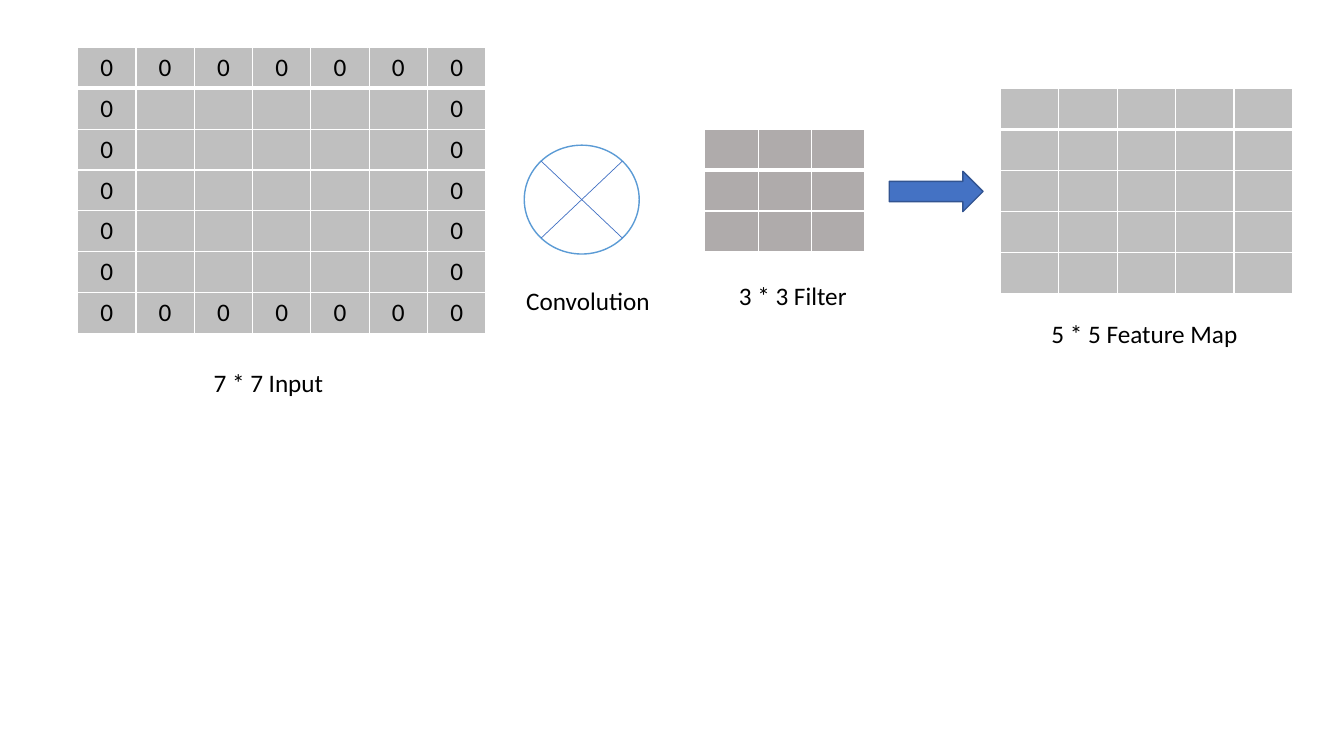
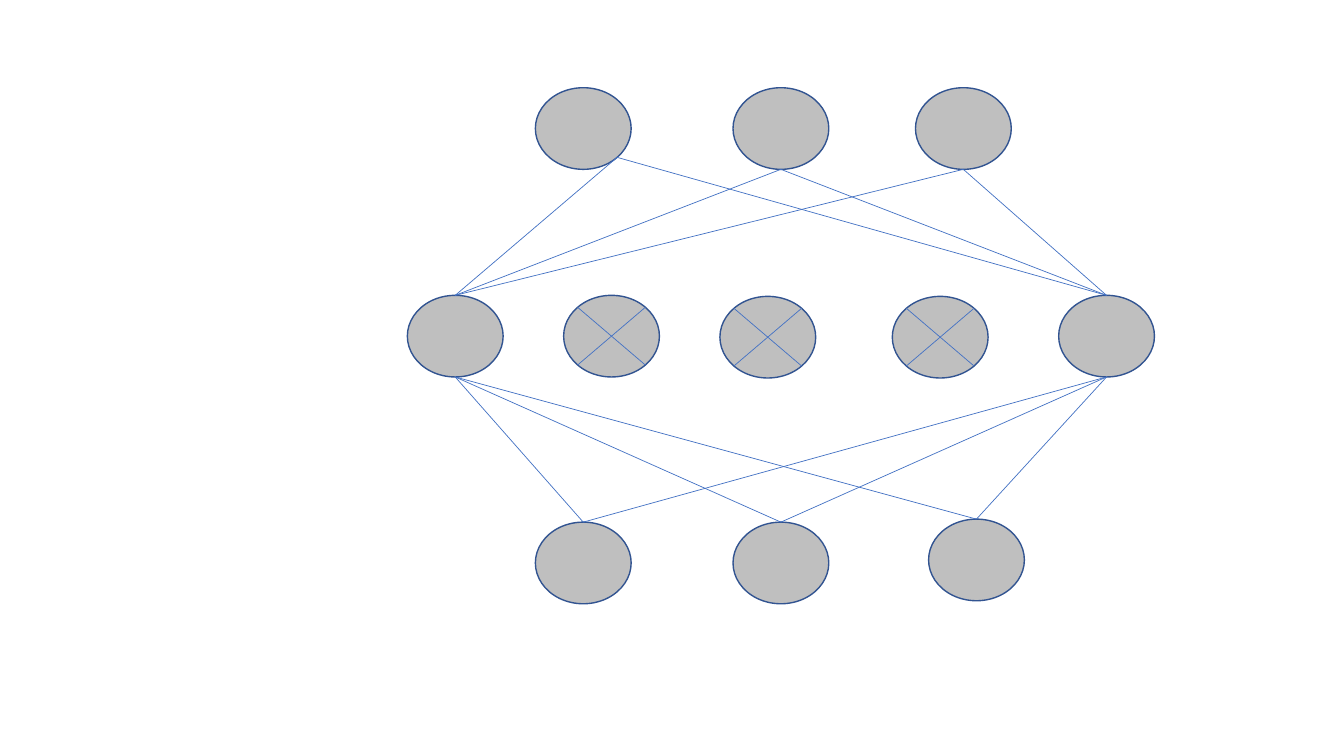
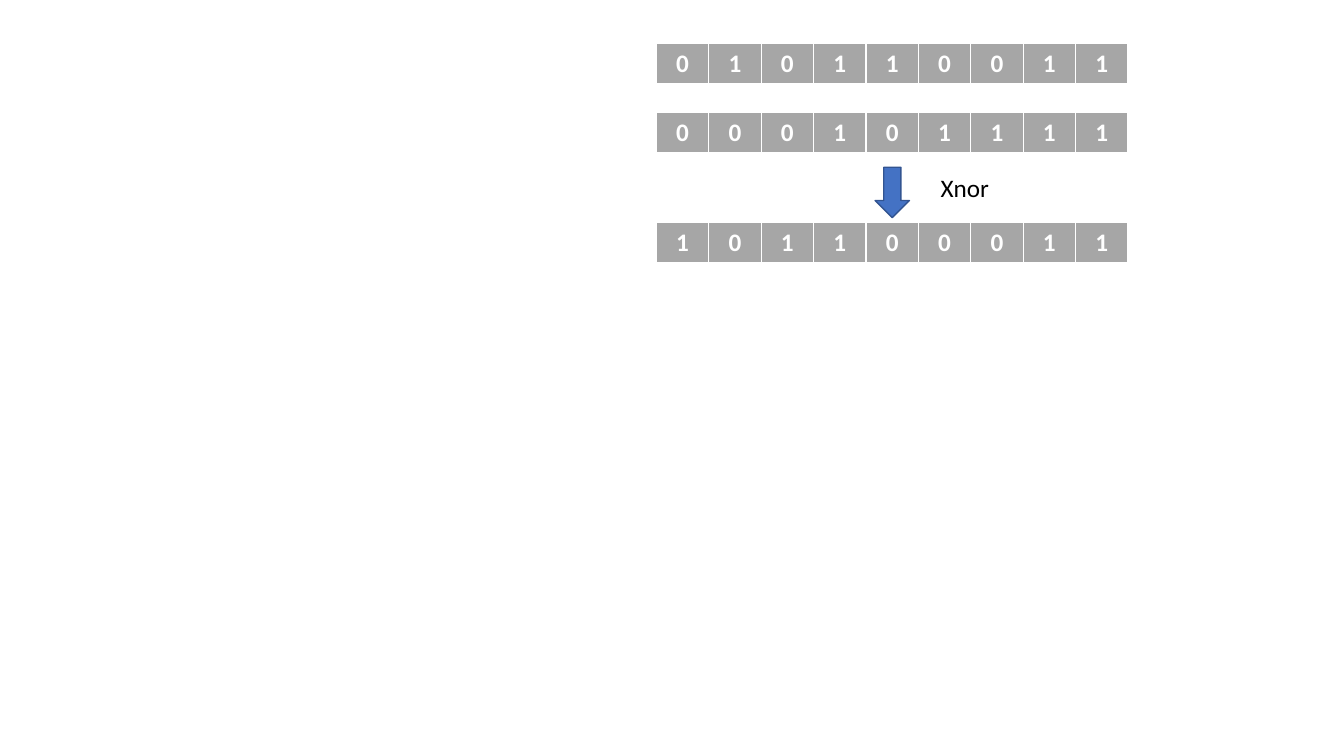
from math import sqrt
from lxml.etree import SubElement
from pptx import Presentation
from pptx.dml.color import RGBColor
from pptx.enum.shapes import MSO_CONNECTOR, MSO_SHAPE
from pptx.enum.text import MSO_AUTO_SIZE, PP_ALIGN
from pptx.oxml.ns import qn
from pptx.util import Pt

PX = 9144
FONT = "Calibri"
BLACK = RGBColor(0x00, 0x00, 0x00)
WHITE = RGBColor(0xFF, 0xFF, 0xFF)
SILVER = RGBColor(0xBF, 0xBF, 0xBF)
TAUPE = RGBColor(0xAF, 0xAB, 0xAB)
GRAY = RGBColor(0xA6, 0xA6, 0xA6)
BLUE = RGBColor(0x44, 0x72, 0xC4)
NAVY = RGBColor(0x32, 0x54, 0x91)
SKY = RGBColor(0x5B, 0x9B, 0xD5)

SIZE = (1333, 750)
PADDED = ["0000000"] + ["0     0"] * 5 + ["0000000"]
GRIDS = [
    ((77, 47, 405, 284), PADDED, SILVER),
    ((992, 88, 290, 203), [" " * 5] * 5, SILVER),
    ((699, 128, 159, 122), [" " * 3] * 3, TAUPE),
]
LABELS = [
    ((512, 278, 211, 40), "Convolution"),
    ((723, 273, 250, 40), "3 * 3 Filter"),
    ((202, 359, 250, 40), "7 * 7 Input"),
    ((1033, 311, 250, 40), "5 * 5 Feature Map"),
]
TIMES = (520, 144, 114, 108)
RIGHT = (882, 170, 93, 40)

NODE = (95, 81)
TOP = [(531, 87), (727, 87), (908, 87)]
HIDDEN = [(404, 293), (559, 293), (714, 294), (885, 294), (1050, 293)]
BASE = [(531, 518), (727, 518), (921, 515)]

BITS = [(43, "010110011"), (112, "000101111"), (221, "101100011")]
DOWN = (868, 166, 34, 50)
XNOR = ((923, 166, 159, 40), "Xnor")

DIAG = sqrt(0.5) / 2


def emu(*vals):
    return [round(v * PX) for v in vals]


def write(para, text, color=BLACK, bold=False):
    run = para.add_run()
    run.text = text
    font = run.font
    font.name, font.size, font.bold = FONT, Pt(18), bold
    font.color.rgb = color


def label(slide, box, text):
    frame = slide.shapes.add_textbox(*emu(*box)).text_frame
    frame.word_wrap = True
    frame.auto_size = MSO_AUTO_SIZE.SHAPE_TO_FIT_TEXT
    write(frame.paragraphs[0], text)


def shape(slide, kind, box, fill, edge):
    item = slide.shapes.add_shape(kind, *emu(*box))
    item.shadow.inherit = False
    item.fill.solid()
    item.fill.fore_color.rgb = fill
    item.line.color.rgb = edge
    item.line.width = Pt(1)
    return item


def line(slide, start, end):
    item = slide.shapes.add_connector(
        MSO_CONNECTOR.STRAIGHT, *emu(*start, *end))
    item.line.color.rgb = BLUE
    item.line.width = Pt(0.5)
    SubElement(item._element.spPr, qn("a:effectLst"))
    return item


def spot(box, dx, dy):
    x, y, w, h = box
    return x + w * (0.5 + dx), y + h * (0.5 + dy)


def cross(slide, box):
    for side in (-DIAG, DIAG):
        line(slide, spot(box, side, -DIAG), spot(box, -side, DIAG))


def border(cell, row):
    props = cell._tc.get_or_add_tcPr()
    widths = {"L": 1, "R": 1, "T": 3 if row == 1 else 1,
              "B": 3 if row == 0 else 1}
    for side, width in widths.items():
        edge = SubElement(props, qn("a:ln" + side), w=str(Pt(width)))
        fill = SubElement(edge, qn("a:solidFill"))
        SubElement(fill, qn("a:srgbClr"), val=str(WHITE))


def grid(slide, box, rows, fill, color=BLACK, bold=False):
    wide, high = len(rows[0]), len(rows)
    table = slide.shapes.add_table(high, wide, *emu(*box)).table
    for col in table.columns:
        col.width = round(box[2] * PX / wide)
    for r, text in enumerate(rows):
        table.rows[r].height = round(box[3] * PX / high)
        for c, char in enumerate(text):
            cell = table.cell(r, c)
            border(cell, r)
            cell.fill.solid()
            cell.fill.fore_color.rgb = fill
            para = cell.text_frame.paragraphs[0]
            para.alignment = PP_ALIGN.CENTER
            if char != " ":
                write(para, char, color, bold)


def filters(slide):
    for box, rows, fill in GRIDS:
        grid(slide, box, rows, fill)
    shape(slide, MSO_SHAPE.OVAL, TIMES, WHITE, SKY)
    cross(slide, TIMES)
    shape(slide, MSO_SHAPE.RIGHT_ARROW, RIGHT, BLUE, NAVY)
    for box, text in LABELS:
        label(slide, box, text)


def dropout(slide):
    top, hidden, base = (
        [(pos + NODE, shape(slide, MSO_SHAPE.OVAL, pos + NODE, SILVER, NAVY))
         for pos in layer] for layer in (TOP, HIDDEN, BASE))
    for box, _ in hidden[1:-1]:
        cross(slide, box)
    active = [hidden[0], hidden[-1]]
    for upper, lower in ((top, active), (active, base)):
        for box, node in upper:
            start = spot(box, 0, 0.5)
            if node is top[0][1]:
                start = spot(box, DIAG, DIAG)
            for goal, target in lower:
                edge = line(slide, start, spot(goal, 0, -0.5))
                edge.end_connect(target, 0)


def binary(slide):
    for y, bits in BITS:
        grid(slide, (651, y, 468, 41), [bits], GRAY, WHITE, True)
    shape(slide, MSO_SHAPE.DOWN_ARROW, DOWN, BLUE, NAVY)
    label(slide, *XNOR)


def main():
    deck = Presentation()
    deck.slide_width, deck.slide_height = emu(*SIZE)
    for build in (filters, dropout, binary):
        build(deck.slides.add_slide(deck.slide_layouts[6]))
    deck.save("out.pptx")


if __name__ == "__main__":
    main()
